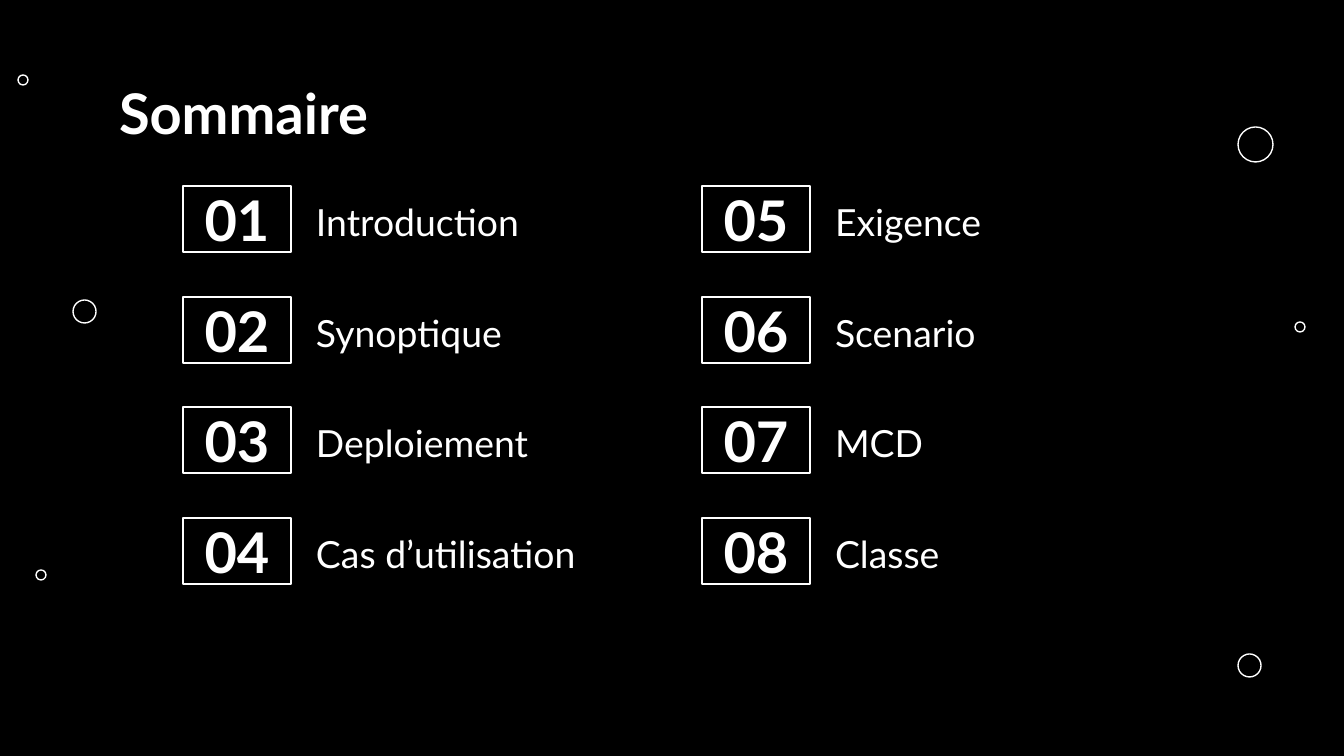
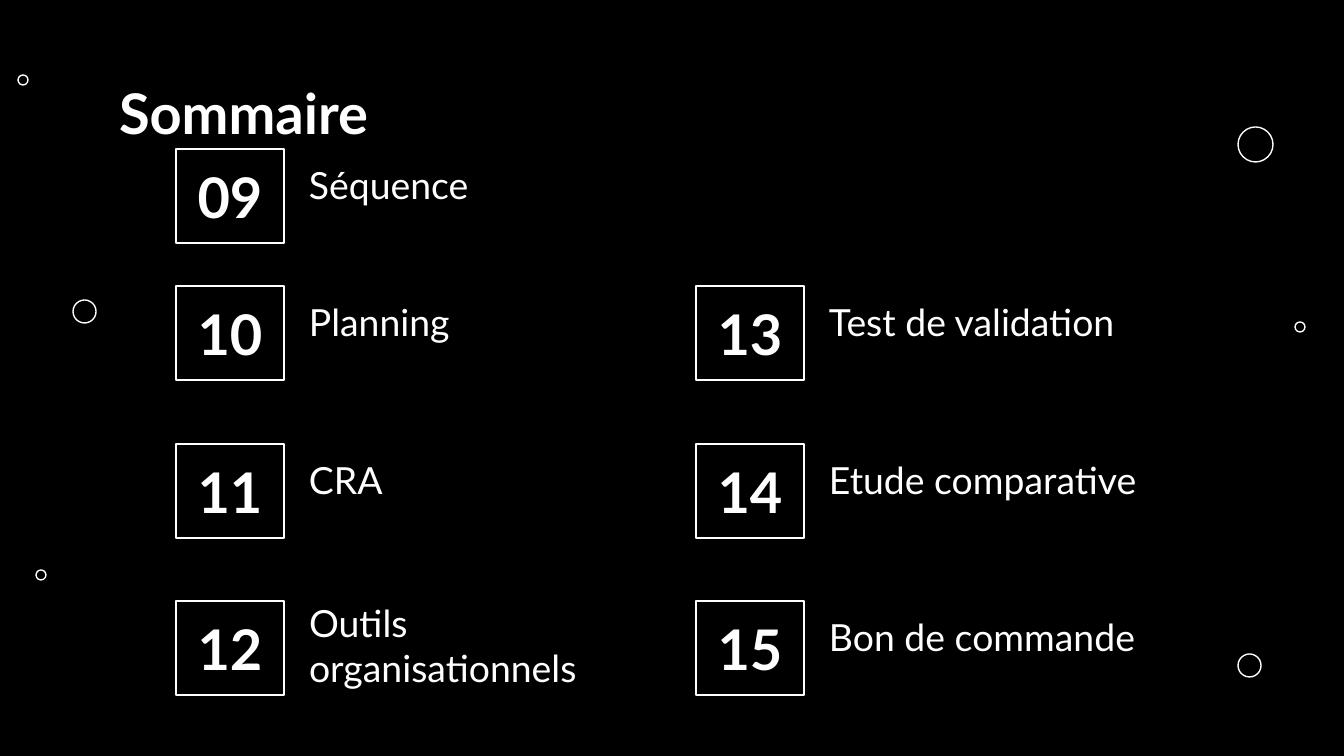
from dataclasses import dataclass

from pptx import Presentation
from pptx import util as u
from pptx.dml.color import RGBColor
from pptx.enum import shapes, text

PX = 914400 / 134.4  # EMU per px


@dataclass(frozen=True)
class Theme:
    back: RGBColor = RGBColor(0, 0, 0)
    ink: RGBColor = RGBColor(255, 255, 255)
    font: str = "Lato"
    heading: int = 30
    label: int = 20
    line: float = 0.75
    inset: int = 13


T = Theme()
TITLE = (106, 66, 1133, 85)
NUMBER_W, LABEL_DX = 108, 120

# Decorative circles: left, top, diameter
CIRCLES = [(1238, 654, 23), (36, 570, 10), (1238, 127, 35),
           (1295, 322, 10), (73, 300, 23), (18, 75, 10)]


def px(*lengths):
    return [u.Emu(round(n * PX)) for n in lengths]


def write(s, content, size=T.label, bold=False,
          align=text.PP_ALIGN.LEFT, anchor=text.MSO_ANCHOR.TOP):
    tf = s.text_frame
    tf.word_wrap = True
    tf.auto_size = text.MSO_AUTO_SIZE.NONE
    tf.vertical_anchor = anchor
    tf.margin_left, tf.margin_top, tf.margin_right, tf.margin_bottom = px(*[T.inset] * 4)
    p = tf.paragraphs[0]
    p.alignment = align
    r = p.add_run()
    r.text = content
    r.font.name, r.font.size, r.font.bold = T.font, u.Pt(size), bold
    r.font.color.rgb = T.ink


def outline(parent, kind, *box):
    s = parent.add_shape(kind, *px(*box))
    s.shadow.inherit = False
    s.fill.background()
    s.line.color.rgb = T.ink
    s.line.width = u.Pt(T.line)
    return s


def add_circles(sp):
    group = sp.add_group_shape()
    for x, y, d in CIRCLES:
        outline(group.shapes, shapes.MSO_SHAPE.OVAL, x, y, d, d)


def add_title(slide, content):
    s = slide.shapes.title
    s.left, s.top, s.width, s.height = px(*TITLE)
    write(s, content, size=T.heading, bold=True)


def add_entry(sp, number, label, x, y, h, label_w, label_h=None):
    """Framed number with its label, both centred on the same height."""
    s = outline(sp, shapes.MSO_SHAPE.RECTANGLE, x, y, NUMBER_W, h)
    write(s, f"{number:02}", size=T.heading, bold=True,
          align=text.PP_ALIGN.CENTER, anchor=text.MSO_ANCHOR.MIDDLE)
    label_h = label_h or h
    box = (x + LABEL_DX, y + (h - label_h) / 2, label_w, label_h)
    write(sp.add_textbox(*px(*box)), label)


def add_column(sp, first, labels, x, rows, h, label_w, special=None):
    """Numbered entries; special maps a number to its own label size."""
    for number, (label, y) in enumerate(zip(labels, rows), first):
        size = {"label_w": label_w, **(special or {}).get(number, {})}
        add_entry(sp, number, label, x, y, h, **size)


def new_slide(prs, title):
    slide = prs.slides.add_slide(prs.slide_layouts.get_by_name("Title Only"))
    add_circles(slide.shapes)
    add_title(slide, title)
    return slide.shapes


def main():
    prs = Presentation()
    prs.slide_width, prs.slide_height = px(1344, 756)
    fill = prs.slide_master.background.fill
    fill.solid()
    fill.fore_color.rgb = T.back

    # Contents, 01 to 08
    sp = new_slide(prs, "Sommaire")
    rows = [186 + round(110.6 * i) for i in range(4)]
    add_column(sp, 1, ["Introduction", "Synoptique", "Deploiement", "Cas d’utilisation"],
               183, rows, 66, 339)
    add_column(sp, 5, ["Exigence", "Scenario", "MCD", "Classe"],
               702, rows, 66, 339)

    # Contents, 09 to 15: the right column starts one row lower
    sp = new_slide(prs, "Sommaire")
    rows = [149, 286, 444, 601]
    add_column(sp, 9, ["Séquence", "Planning", "CRA", "Outils organisationnels"],
               176, rows, 94, 340, {12: {"label_w": 368, "label_h": 122}})
    add_column(sp, 13, ["Test de validation", "Etude comparative", "Bon de commande"],
               696, rows[1:], 94, 359, {15: {"label_w": 391}})

    prs.save("out.pptx")


if __name__ == "__main__":
    main()
